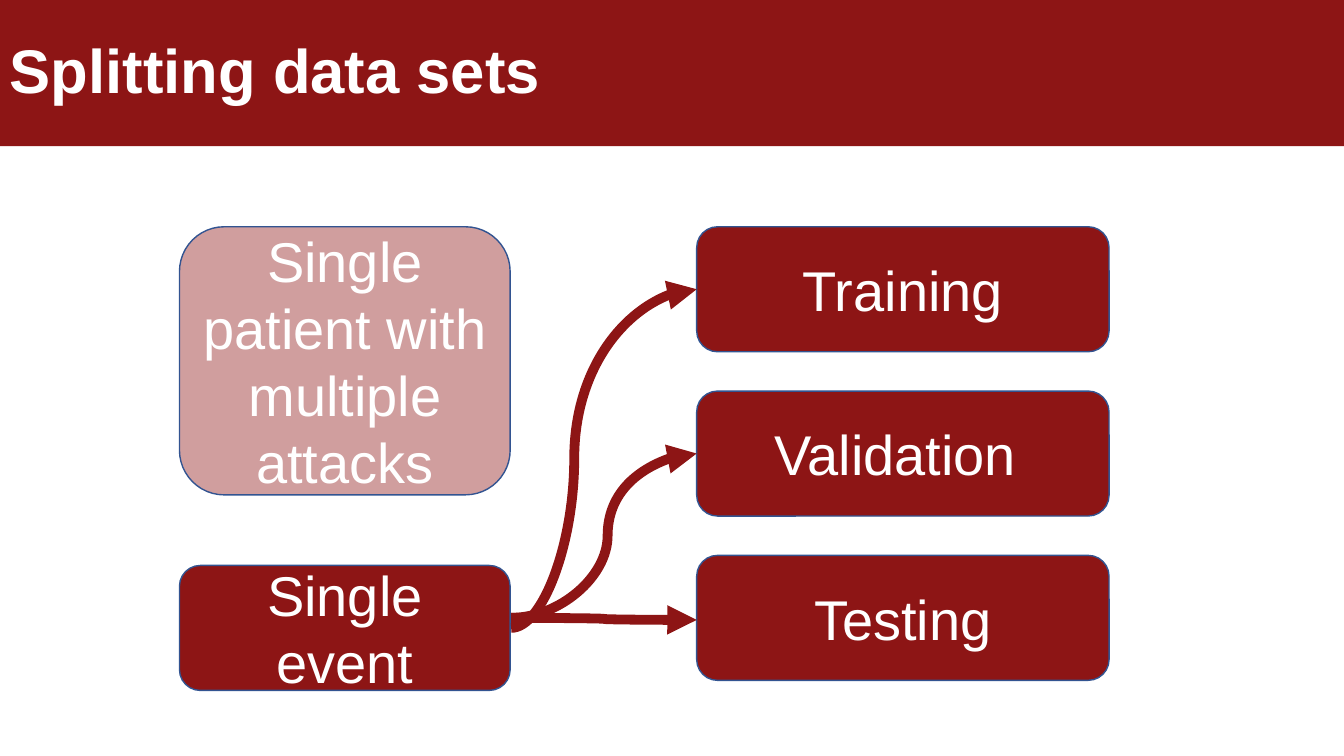
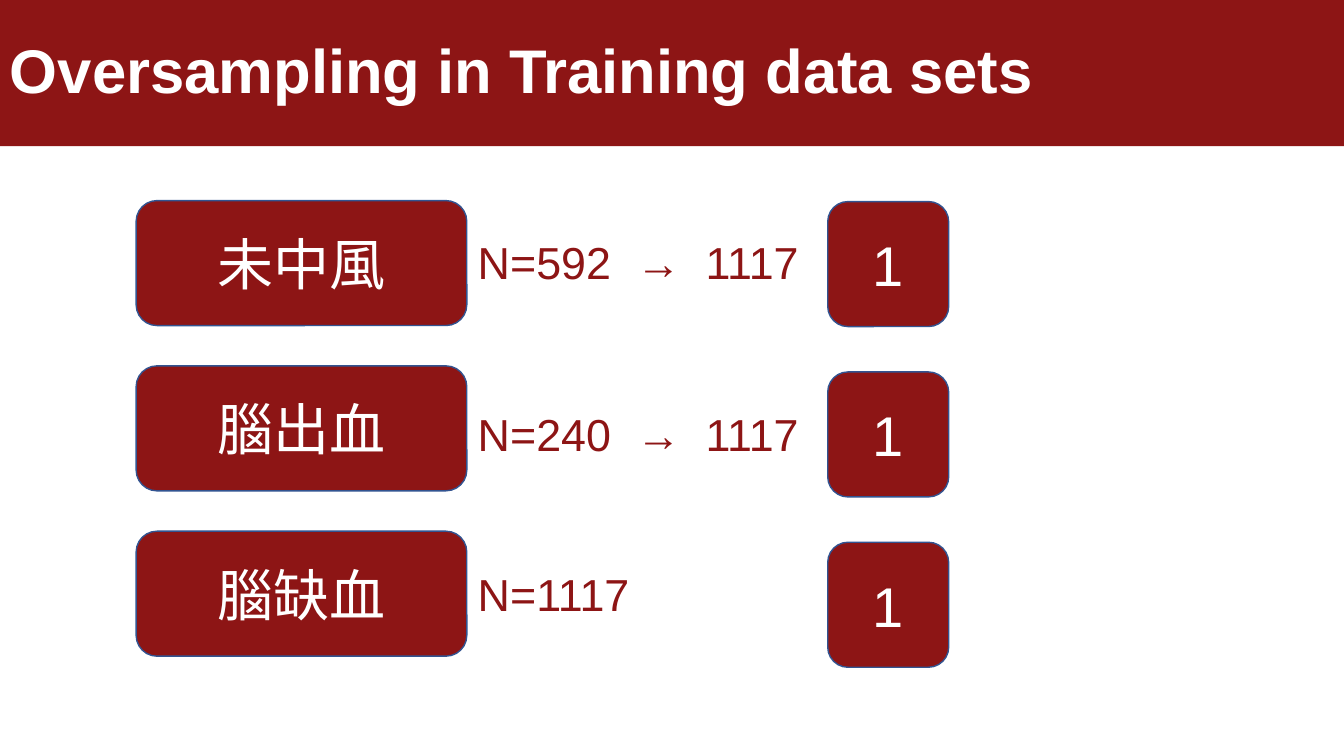
from lxml.etree import SubElement
from pptx import Presentation
from pptx.dml.color import RGBColor
from pptx.enum.shapes import MSO_CONNECTOR, MSO_SHAPE
from pptx.enum.text import MSO_ANCHOR, PP_ALIGN
from pptx.oxml.ns import qn
from pptx.util import Inches, Pt

CRIMSON = RGBColor(0x8D, 0x15, 0x15)
OUTLINE = RGBColor(0x32, 0x54, 0x91)
WHITE = RGBColor(0xFF, 0xFF, 0xFF)

LATIN = "Arial"
CHINESE = "Noto Sans CJK TC"

SLIDE_W, SLIDE_H = 13.33, 7.5
BOX_H = 1.24
SOURCE_W = 3.28
COUNT_TABS = (1.57, 2.26)


def style_text(paragraph, size, color, font=LATIN, bold=False):
    paragraph.font.size = Pt(size)
    paragraph.font.bold = bold
    paragraph.font.color.rgb = color
    paragraph.font.name = font
    defaults = paragraph._p.pPr.find(qn("a:defRPr"))
    SubElement(defaults, qn("a:ea"), typeface=font)


def add_filled_shape(slide, kind, left, top, width, height, text):
    """Add a crimson shape with middle-anchored text; return it and its paragraph."""
    shape = slide.shapes.add_shape(
        kind, Inches(left), Inches(top), Inches(width), Inches(height))
    shape.shadow.inherit = False
    shape.fill.solid()
    shape.fill.fore_color.rgb = CRIMSON
    frame = shape.text_frame
    frame.word_wrap = True
    frame.vertical_anchor = MSO_ANCHOR.MIDDLE
    frame.text = text
    return shape, frame.paragraphs[0]


def add_titled_slide(prs, title):
    slide = prs.slides.add_slide(prs.slide_layouts[6])
    band, heading = add_filled_shape(
        slide, MSO_SHAPE.RECTANGLE, 0, 0, SLIDE_W, 1.45, title)
    band.line.fill.background()
    heading.alignment = PP_ALIGN.LEFT
    heading.line_spacing = 0.9
    style_text(heading, 44, WHITE, bold=True)
    return slide


def add_box(slide, left, top, width, text, height=BOX_H, font=LATIN, opacity=None):
    box, label = add_filled_shape(
        slide, MSO_SHAPE.ROUNDED_RECTANGLE, left, top, width, height, text)
    box.line.color.rgb = OUTLINE
    box.line.width = Pt(1)
    label.alignment = PP_ALIGN.CENTER
    style_text(label, 40, WHITE, font)
    if opacity is not None:
        color = box._element.spPr.find(qn("a:solidFill")).find(qn("a:srgbClr"))
        SubElement(color, qn("a:alpha"), val=str(opacity * 1000))


def add_column(slide, left, top, step, width, labels, font=LATIN):
    for row, label in enumerate(labels):
        add_box(slide, left, top + row * step, width, label, font=font)


def add_curved_arrow(slide, start, end, bend):
    """Draw an S-shaped arrow that turns at the fraction bend of its width."""
    arrow = slide.shapes.add_connector(
        MSO_CONNECTOR.CURVE, *(Inches(v) for v in (*start, *end)))
    arrow.line.color.rgb = CRIMSON
    arrow.line.width = Pt(7)
    properties = arrow._element.spPr
    SubElement(properties.find(qn("a:ln")), qn("a:tailEnd"), type="triangle")
    SubElement(properties, qn("a:effectLst"))
    adjustments = properties.find(qn("a:prstGeom")).find(qn("a:avLst"))
    SubElement(adjustments, qn("a:gd"), name="adj1",
               fmla=f"val {round(bend * 100000)}")


def add_count(slide, top, text):
    box = slide.shapes.add_textbox(
        Inches(4.64), Inches(top), Inches(3.5), Inches(0.64))
    frame = box.text_frame
    frame.word_wrap = True
    frame.text = text
    count = frame.paragraphs[0]
    tabs = SubElement(count._p.get_or_add_pPr(), qn("a:tabLst"))
    for position in COUNT_TABS:
        SubElement(tabs, qn("a:tab"), pos=str(Inches(position)), algn="l")
    style_text(count, 32, CRIMSON)


def build_splitting(prs):
    slide = add_titled_slide(prs, "Splitting data sets")
    add_box(slide, 1.78, 2.25, SOURCE_W, "Single patient with multiple attacks",
            height=2.66, opacity=41)
    add_box(slide, 1.78, 5.61, SOURCE_W, "Single event")
    add_column(slide, 6.91, 2.25, 1.63, 4.09, ("Training", "Validation ", "Testing"))
    for start_y, end_y, bend in ((6.13, 6.15, 0.5), (6.13, 4.5, 0.52), (6.23, 2.87, 0.34)):
        add_curved_arrow(slide, (5.07, start_y), (6.91, end_y), bend)


def build_oversampling(prs):
    slide = add_titled_slide(prs, "Oversampling in Training data sets")
    add_column(slide, 1.35, 1.99, 1.64, SOURCE_W, ("未中風", "腦出血", "腦缺血"), CHINESE)
    counts = ((2.28, "N=592\t→\t1117"), (3.99, "N=240\t→\t1117"), (5.57, "N=1117"))
    for top, text in counts:
        add_count(slide, top, text)
    add_column(slide, 8.21, 2, 1.69, 1.2, ("1", "1", "1"))


def main():
    prs = Presentation()
    prs.slide_width = Inches(SLIDE_W)
    prs.slide_height = Inches(SLIDE_H)
    build_splitting(prs)
    build_oversampling(prs)
    prs.save("out.pptx")


if __name__ == "__main__":
    main()
